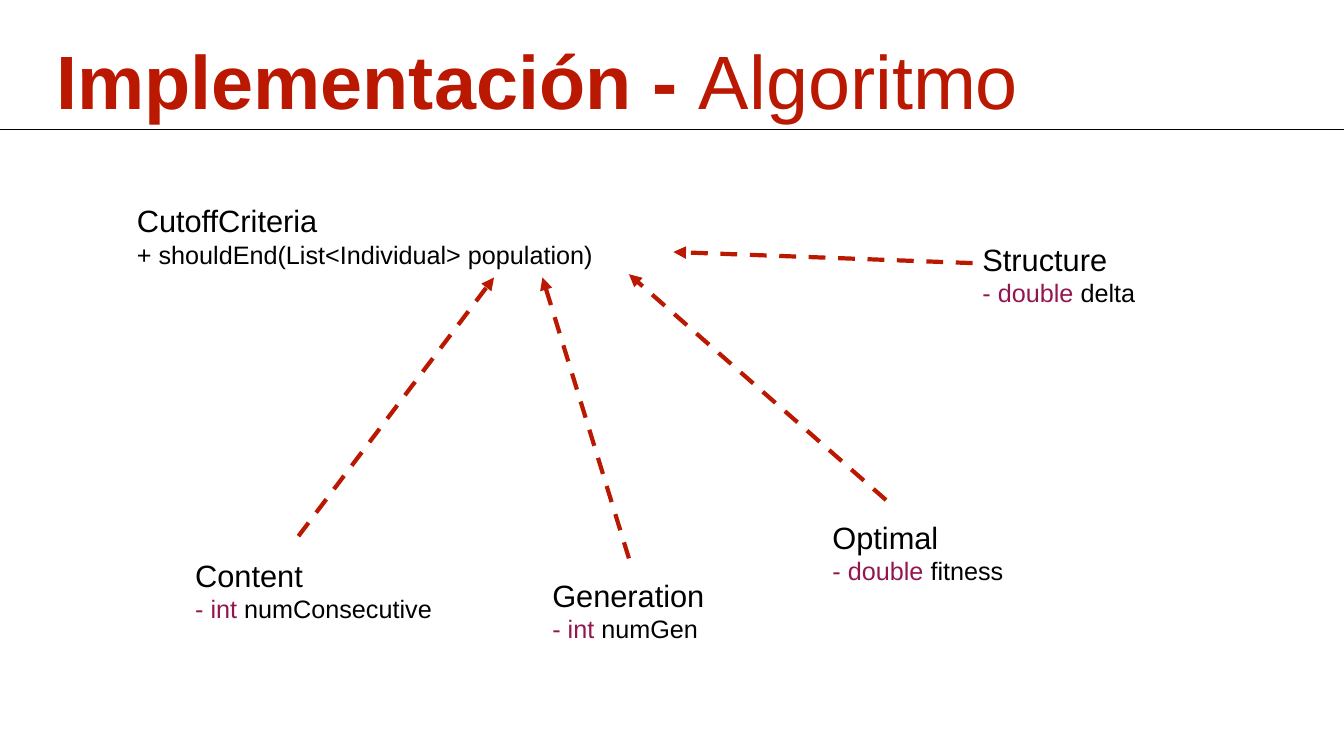
from lxml import etree
from pptx import Presentation
from pptx.dml.color import RGBColor
from pptx.enum.dml import MSO_LINE
from pptx.enum.shapes import MSO_CONNECTOR
from pptx.enum.text import MSO_ANCHOR
from pptx.oxml.ns import qn
from pptx.util import Cm, Pt

STRAIGHT = MSO_CONNECTOR.STRAIGHT
BOTTOM = MSO_ANCHOR.BOTTOM
DASH = MSO_LINE.DASH

COLORS = {"red": "BA1800", "ink": "000000", "keyword": "941651"}
FONT = "Arial"
SLIDE_W, SLIDE_H = 33.87, 19.05
RULE_Y = 3.25
CLASS_H = 1.96

TITLE_BOX = (1.17, 0.69, 31.52, 2.57)
TITLE = [[("Implementación - ", 54, "red", True), ("Algoritmo", 54, "red", False)]]

CLASSES = [
    ("CutoffCriteria", "", "+ shouldEnd(List<Individual> population)", 3.2, 4.95, 13.26),
    ("Content", "- int ", "numConsecutive", 4.67, 13.89, 7.21),
    ("Generation", "- int ", "numGen", 13.67, 14.38, 5.08),
    ("Optimal", "- double ", "fitness", 20.73, 12.93, 5.08),
    ("Structure", "- double ", "delta", 24.51, 5.92, 5.08),
]

ARROWS = [
    (7.52, 13.51, 12.45, 6.99),
    (15.85, 14.07, 13.67, 6.99),
    (22.33, 12.6, 15.85, 6.91),
    (24.51, 6.63, 16.97, 6.35),
]


def rgb(name):
    return RGBColor.from_string(COLORS[name])


def add_text(slide, box, paragraphs):
    tf = slide.shapes.add_textbox(*map(Cm, box)).text_frame
    tf.word_wrap = True
    tf.vertical_anchor = BOTTOM
    for i, runs in enumerate(paragraphs):
        p = tf.add_paragraph() if i else tf.paragraphs[0]
        for text, size, color, bold in runs:
            r = p.add_run()
            r.text = text
            for key, value in {"name": FONT, "size": Pt(size), "bold": bold}.items():
                setattr(r.font, key, value)
            r.font.color.rgb = rgb(color)


def add_line(slide, ends, color, width):
    sp = slide.shapes.add_connector(STRAIGHT, *map(Cm, ends))
    sp.line.color.rgb = rgb(color)
    sp.line.width = Pt(width)
    etree.SubElement(sp._element.spPr, qn("a:effectLst"))
    return sp


def add_arrow(slide, ends):
    sp = add_line(slide, ends, "red", 3)
    sp.line.dash_style = DASH
    etree.SubElement(sp.line._get_or_add_ln(), qn("a:tailEnd"), type="triangle")


def main():
    prs = Presentation()
    prs.slide_width, prs.slide_height = Cm(SLIDE_W), Cm(SLIDE_H)
    slide = prs.slides.add_slide(prs.slide_layouts[6])

    add_text(slide, TITLE_BOX, TITLE)
    add_line(slide, (0, RULE_Y, SLIDE_W, RULE_Y), "ink", 0.5)
    for ends in ARROWS:
        add_arrow(slide, ends)
    for name, keyword, member, x, y, w in CLASSES:
        member_runs = [(keyword, 18, "keyword", False)] if keyword else []
        member_runs.append((member, 18, "ink", False))
        add_text(slide, (x, y, w, CLASS_H), [[(name, 22, "ink", False)], member_runs])

    prs.save("out.pptx")


if __name__ == "__main__":
    main()
